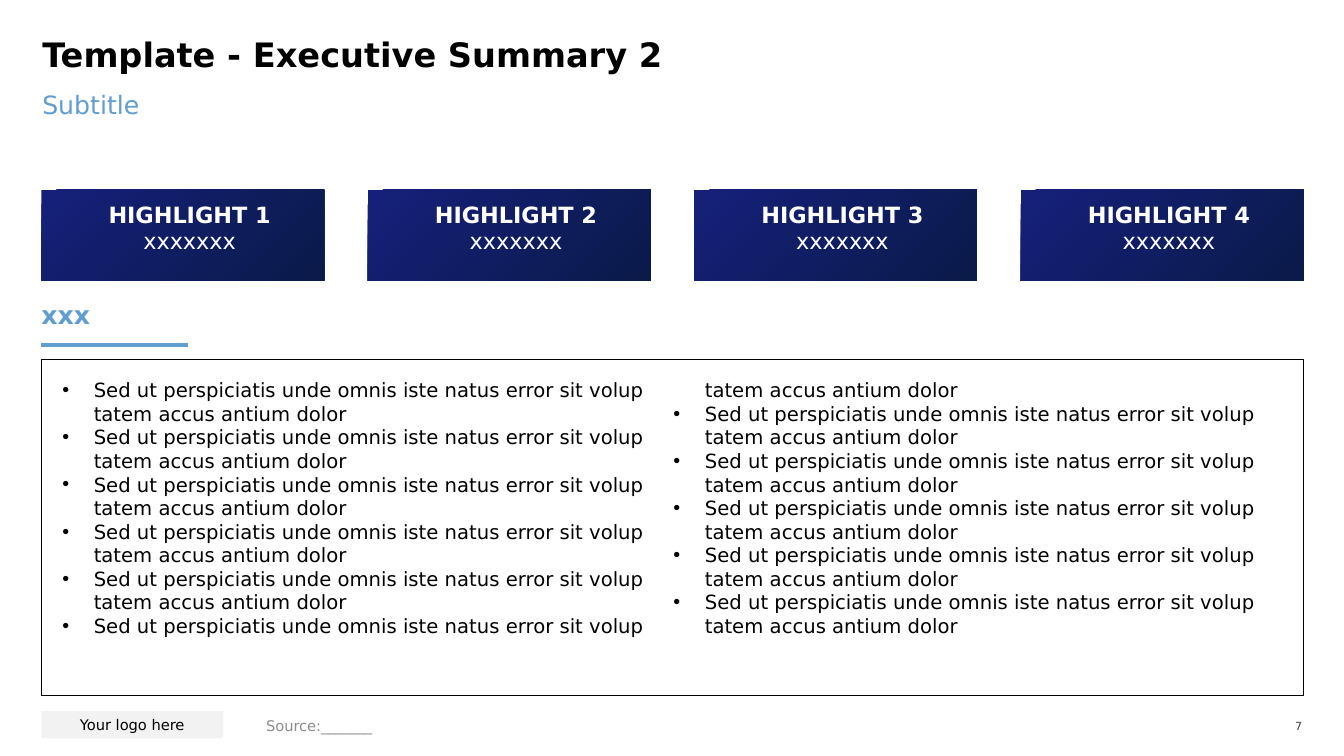
from dataclasses import dataclass

import pptx
import pptx.dml.color
import pptx.enum.shapes
import pptx.enum.text
import pptx.oxml
import pptx.oxml.ns
import pptx.util

Pt = pptx.util.Pt
ALIGN = pptx.enum.text.PP_ALIGN
ANCHOR = pptx.enum.text.MSO_ANCHOR
RECTANGLE = pptx.enum.shapes.MSO_SHAPE.RECTANGLE


@dataclass(frozen=True)
class Theme:
    font: str = "DejaVu Sans"
    black: str = "000000"
    white: str = "FFFFFF"
    accent: str = "629DD1"
    gradient: tuple = ("16207B", "0A1A49")
    logo_fill: str = "F2F2F2"
    source: str = "8C8C8C"
    page: str = "404040"
    title_size: float = 24
    heading_size: float = 18
    highlight_size: float = 16
    body_size: float = 14
    footer_size: float = 10.5
    page_size: float = 8


THEME = Theme()
BULLET = "Sed ut perspiciatis unde omnis iste natus error sit volup tatem accus antium dolor"
BULLET_COUNT = 11
HIGHLIGHTS = [(f"HIGHLIGHT {number}", "xxxxxxx") for number in range(1, 5)]


def rgb(color):
    return pptx.dml.color.RGBColor.from_string(color)


def write(shape, lines, size, color, bold=False, align=ALIGN.LEFT,
          anchor=ANCHOR.TOP, insets=(0, 0, 0, 0)):
    """Fill a shape with formatted lines; insets run left, top, right, bottom."""
    frame = shape.text_frame
    frame.text = "\n".join(lines)
    frame.word_wrap = True
    frame.vertical_anchor = anchor
    (frame.margin_left, frame.margin_top,
     frame.margin_right, frame.margin_bottom) = map(Pt, insets)
    for paragraph in frame.paragraphs:
        paragraph.alignment = align
        for run in paragraph.runs:
            run.font.name = THEME.font
            run.font.size = Pt(size)
            run.font.bold = bold
            run.font.color.rgb = rgb(color)
    return frame


def add_text(slide, box, text, size, color, **style):
    return write(slide.shapes.add_textbox(*map(Pt, box)), [text], size, color, **style)


def add_rectangle(slide, box):
    shape = slide.shapes.add_shape(RECTANGLE, *map(Pt, box))
    shape.shadow.inherit = False
    shape.line.fill.background()
    return shape


def add_header(slide, left, top, width):
    title = add_text(slide, (left, top, width, 38), "Template - Executive Summary 2",
                     THEME.title_size, THEME.black, bold=True)
    title.paragraphs[0].line_spacing = 0.8
    add_text(slide, (left, top + 33.5, width, 45), "Subtitle",
             THEME.heading_size, THEME.accent)


def add_highlights(slide, left, top, width, height):
    card_width = 202
    step = (width - card_width) / (len(HIGHLIGHTS) - 1)
    for index, lines in enumerate(HIGHLIGHTS):
        card = add_rectangle(slide, (left + index * step, top, card_width, height))
        card.fill.gradient()
        card.fill.gradient_angle = 315
        for stop, color in zip(card.fill.gradient_stops, THEME.gradient):
            stop.color.rgb = rgb(color)
        frame = write(card, lines, THEME.highlight_size, THEME.white, bold=True,
                      align=ALIGN.CENTER, anchor=ANCHOR.MIDDLE, insets=(17, 3.6, 7.2, 14.4))
        frame.paragraphs[1].runs[0].font.bold = False


def add_section_heading(slide, left, top, width, height):
    add_text(slide, (left, top, width, height), "xxx", THEME.heading_size,
             THEME.accent, bold=True, anchor=ANCHOR.BOTTOM)
    rule_top = top + height + 11
    rule = slide.shapes.add_connector(pptx.enum.shapes.MSO_CONNECTOR.STRAIGHT,
                                      Pt(left - 0.5), Pt(rule_top),
                                      Pt(left + 104.5), Pt(rule_top))
    rule.line.color.rgb = rgb(THEME.accent)
    rule.line.width = Pt(2.25)
    properties = rule._element.spPr
    properties.append(pptx.oxml.parse_xml(f"<a:effectLst {pptx.oxml.ns.nsdecls('a')}/>"))


def add_bullet_panel(slide, left, top, width, height):
    panel = add_rectangle(slide, (left, top, width, height))
    panel.fill.background()
    panel.line.color.rgb = rgb(THEME.black)
    panel.line.width = Pt(0.25)

    text_box = slide.shapes.add_textbox(Pt(left + 15), Pt(top + 13.7), Pt(width - 28.5), Pt(190))
    frame = write(text_box, [BULLET] * BULLET_COUNT, THEME.body_size, THEME.black)
    body = frame._txBody.bodyPr
    body.set("numCol", "2")
    body.set("spcCol", "0")
    indent = Pt(22.5)
    for paragraph in frame.paragraphs:
        properties = paragraph._p.get_or_add_pPr()
        properties.set("marL", str(indent))
        properties.set("indent", str(-indent))
        for tag in ('buFont {} typeface="Arial"', 'buChar {} char="•"'):
            declared = tag.format(pptx.oxml.ns.nsdecls("a"))
            properties.append(pptx.oxml.parse_xml(f"<a:{declared}/>"))


def add_footer(slide, left, top, width, height):
    logo = add_rectangle(slide, (left, top, 130, height))
    logo.fill.solid()
    logo.fill.fore_color.rgb = rgb(THEME.logo_fill)
    write(logo, ["Your logo here"], THEME.footer_size, THEME.black,
          align=ALIGN.CENTER, anchor=ANCHOR.MIDDLE, insets=(7.2,) * 4)
    add_text(slide, (left + 153.5, top + 0.7, 460, 19), "Source:_______",
             THEME.footer_size, THEME.source, anchor=ANCHOR.MIDDLE,
             insets=(7.2, 3.6, 7.2, 3.6))
    add_text(slide, (left + width - 30.8, top + 2.2, 30, 16.5), "7", THEME.page_size,
             THEME.page, align=ALIGN.RIGHT, anchor=ANCHOR.MIDDLE)


def main():
    presentation = pptx.Presentation()
    presentation.slide_width = Pt(960)
    presentation.slide_height = Pt(540)
    slide = presentation.slides.add_slide(presentation.slide_layouts[6])
    left, width = 29.5, 901.5
    add_header(slide, left + 0.7, 30, 899)
    add_highlights(slide, left, 135.5, width, 65)
    add_section_heading(slide, left, 211, 211, 24.5)
    add_bullet_panel(slide, left, 256.5, width, 240)
    add_footer(slide, left, 508, width, 19.5)
    presentation.save("out.pptx")


if __name__ == "__main__":
    main()
